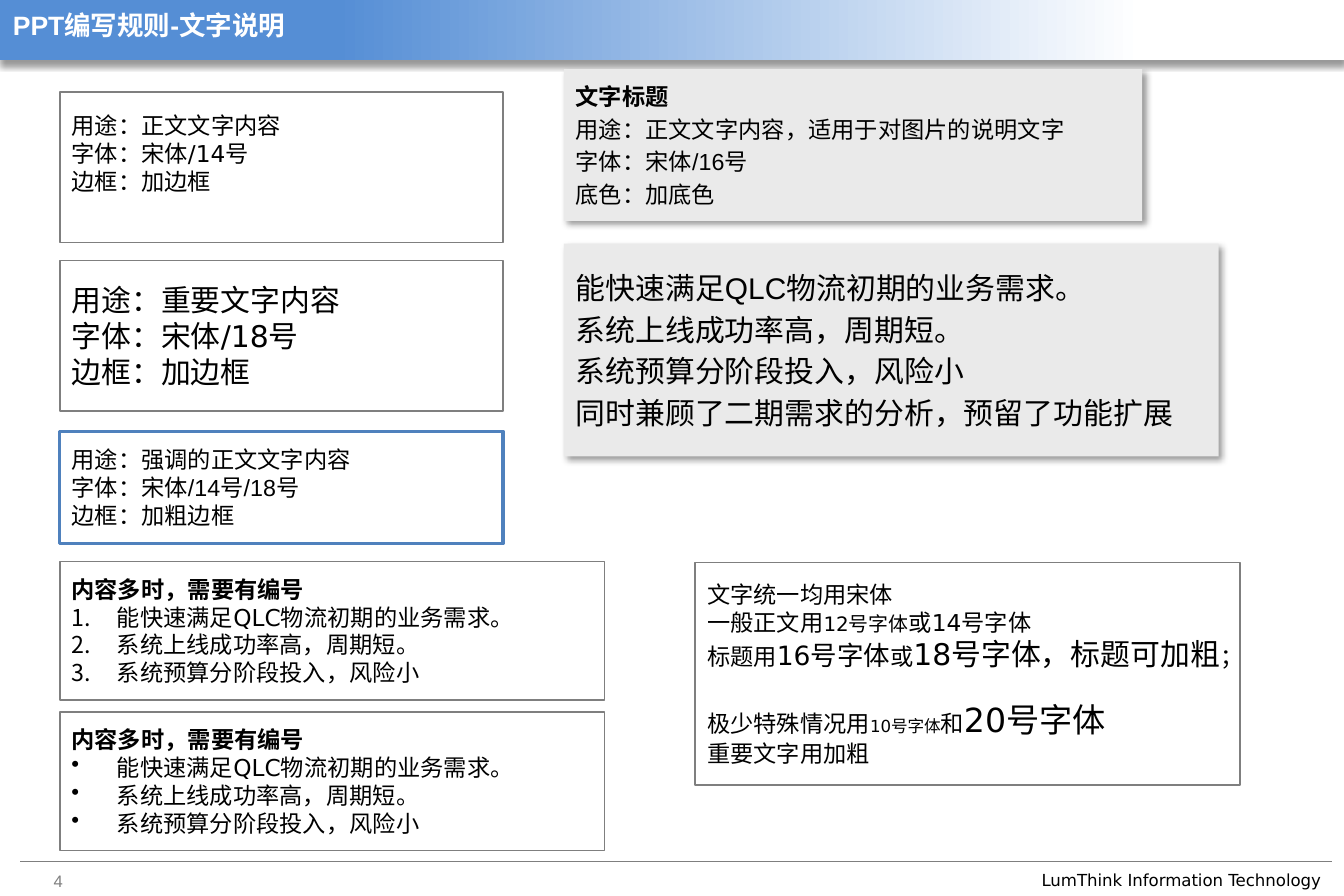
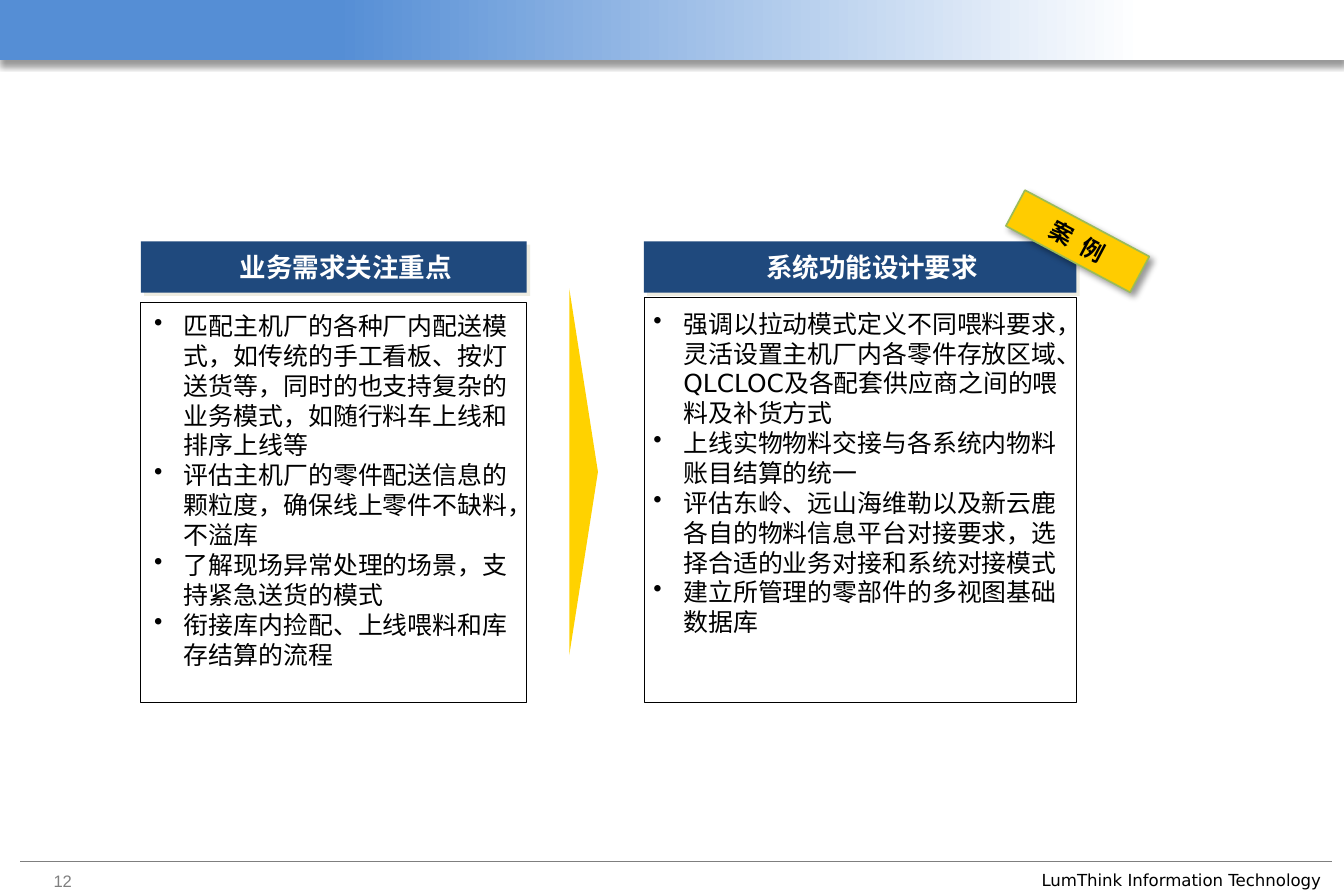
from lxml.etree import SubElement
from pptx import Presentation
from pptx.dml.color import RGBColor
from pptx.enum.shapes import MSO_CONNECTOR as Connector, MSO_SHAPE as Preset
from pptx.enum.text import MSO_ANCHOR as Anchor, PP_ALIGN as Align
from pptx.oxml.ns import qn
from pptx.util import Inches, Pt

# The slide is a grid of 90 columns by 60 rows of square cells
WIDTH, HEIGHT = Inches(11.25), Inches(7.5)
CELL = WIDTH / 90

COLORS = {
    "white": "FFFFFF", "black": "000000", "gray": "7F7F7F",
    "band": "558ED5", "panel": "EAEAEA", "accent": "4F81BD",
    "navy": "1F497D", "cream": "EEECE1", "arrow": "FFD200",
    "tag": "FFCC00", "tag_line": "9BBB59",
}
SANS, ARIAL = "DejaVu Sans", "Arial"
NUMBERS = ("a:buAutoNum", "type", "arabicPeriod")
DOTS = ("a:buChar", "char", "•")


def cells(*counts):
    return [round(count * CELL) for count in counts]


def color(name):
    return RGBColor.from_string(COLORS[name])


# Elements
def add_shadow(shape, name="black", alpha=40, blur=4, distance=3, angle=45):
    effects = shape._element.spPr.find(qn("a:effectLst"))
    shadow = SubElement(effects, qn("a:outerShdw"), blurRad=str(Pt(blur)),
                        dist=str(Pt(distance)), dir=str(angle * 60000),
                        algn="tl", rotWithShape="0")
    tint = SubElement(shadow, qn("a:srgbClr"), val=COLORS[name])
    SubElement(tint, qn("a:alpha"), val=str(alpha * 1000))


def add_box(slide, area, fill=None, line=None, weight=1, preset=Preset.RECTANGLE):
    shape = slide.shapes.add_shape(preset, *cells(*area))
    shape.shadow.inherit = False
    if fill:
        shape.fill.solid()
        shape.fill.fore_color.rgb = color(fill)
    else:
        shape.fill.background()
    if line:
        shape.line.color.rgb = color(line)
        shape.line.width = Pt(weight)
    else:
        shape.line.fill.background()
    return shape


def add_bullet(paragraph, bullet, indent):
    tag, key, value = bullet
    properties = paragraph._p.get_or_add_pPr()
    properties.set("marL", str(Inches(indent)))
    properties.set("indent", str(-Inches(indent)))
    SubElement(properties, qn(tag)).set(key, value)


def write(shape, paragraphs, size=14, font=SANS, ink="black", bold=False, heading=False,
          bullet=None, indent=0.38, gap=0, align=Align.LEFT, anchor=Anchor.MIDDLE,
          insets=(0.1, 0.05, 0.1, 0.05)):
    """Fill a shape; a paragraph is a string or a list of (text, size) runs."""
    frame = shape.text_frame
    frame.word_wrap = True
    frame.vertical_anchor = anchor
    (frame.margin_left, frame.margin_top,
     frame.margin_right, frame.margin_bottom) = map(Inches, insets)
    for index, content in enumerate(paragraphs):
        is_heading = heading and index == 0
        paragraph = frame.add_paragraph() if index else frame.paragraphs[0]
        if bullet and not is_heading:
            add_bullet(paragraph, bullet, indent)
        paragraph.alignment = align
        if gap and index:
            paragraph.space_before = Pt(gap)
        runs = [(content, size)] if isinstance(content, str) else content
        for text, run_size in runs:
            run = paragraph.add_run()
            run.text = text
            run.font.size = Pt(run_size)
            run.font.name = font
            run.font.bold = bold or is_heading
            run.font.color.rgb = color(ink)
    return frame


def add_label(slide, area, text, **style):
    box = slide.shapes.add_textbox(*cells(*area))
    return write(box, [text], anchor=Anchor.TOP, **style)


def add_panel(slide, area, lines, size):
    panel = add_box(slide, area, fill="panel")
    add_shadow(panel)
    write(panel, lines, size=size, font=ARIAL, gap=size * 0.2, heading=size == 14)


def add_topic(slide, left, width, body_top, title, points, insets):
    bar = add_box(slide, (left, 16.16, width, 3.44), fill="navy")
    add_shadow(bar, "cream", alpha=100, blur=0, distance=2.8)
    write(bar, [title], size=16, ink="white", bold=True, align=Align.CENTER,
          insets=(0.2, 0, 0, 0))
    body = add_box(slide, (left, body_top, width, 47.04 - body_top),
                   line="black", weight=0.5)
    write(body, points, size=15, bullet=DOTS, indent=0.25,
          anchor=Anchor.TOP, insets=insets)


# Shared band, rule and footer
def add_slide(presentation, number, title=None):
    slide = presentation.slides.add_slide(presentation.slide_layouts[6])
    slide.background.fill.solid()
    slide.background.fill.fore_color.rgb = color("white")

    left, right, level = cells(1.36, 89.2, 57.68)
    rule = slide.shapes.add_connector(Connector.STRAIGHT, left, level, right, level)
    rule.line.color.rgb = color("gray")
    rule.line.width = Pt(0.5)
    SubElement(rule._element.spPr, qn("a:effectLst"))

    band = add_box(slide, (0, 0, 90, 4))
    band.fill.gradient()
    band.fill.gradient_angle = 180
    for stop, position, name in zip(band.fill.gradient_stops, (0.15, 0.75),
                                    ("white", "band")):
        stop.position = position
        stop.color.rgb = color(name)
    add_shadow(band, angle=90)

    add_label(slide, (68.96, 57.84, 21.2, 2.16), "LumThink Information Technology", size=10)
    add_label(slide, (2.8, 57.92, 5.04, 2.4), str(number), size=10, font=ARIAL, ink="gray")
    if title:
        frame = add_label(slide, (0.08, 0.48, 84.64, 3.36), title, size=16,
                          font=ARIAL, ink="white", bold=True)
        frame.paragraphs[0].line_spacing = 0.9
    return slide


def build_text_rules(presentation):
    slide = add_slide(presentation, 4, "PPT编写规则-文字说明")
    points = ["能快速满足QLC物流初期的业务需求。", "系统上线成功率高，周期短。",
              "系统预算分阶段投入，风险小"]

    # Shaded panels
    add_panel(slide, (37.76, 4.64, 38.72, 10.16),
              ["文字标题", "用途：正文文字内容，适用于对图片的说明文字",
               "字体：宋体/16号", "底色：加底色"], 14)
    add_panel(slide, (37.76, 16.32, 43.84, 14.24),
              points + ["同时兼顾了二期需求的分析，预留了功能扩展"], 18)

    # Framed samples: top, height, line, weight, size, font, bottom inset, wording
    samples = [
        (6.16, 10.08, "gray", 1, 14, SANS, 0.28, ("正文文字内容", "14号", "加边框")),
        (17.44, 10.08, "gray", 1, 18, SANS, 0.05, ("重要文字内容", "18号", "加边框")),
        (28.88, 7.52, "accent", 2, 14, ARIAL, 0.05,
         ("强调的正文文字内容", "14号/18号", "加粗边框")),
    ]
    for top, height, line, weight, size, font, bottom, (usage, sizes, border) in samples:
        box = add_box(slide, (4, top, 29.68, height), "white", line, weight)
        write(box, [f"用途：{usage}", f"字体：宋体/{sizes}", f"边框：{border}"],
              size=size, font=font, insets=(0.1, 0.05, 0.1, bottom))

    # Numbered and bulleted lists
    for row, bullet in enumerate((NUMBERS, DOTS)):
        box = add_box(slide, (4, 37.6 + row * 10.08, 36.48, 9.28), "white", "gray")
        write(box, ["内容多时，需要有编号"] + points, heading=True, bullet=bullet)

    # Font size summary
    summary = add_box(slide, (46.56, 37.68, 36.48, 14.88), "white", "gray")
    frame = write(summary, [
        "文字统一均用宋体",
        [("一般正文用", 14), ("12号字体", 12), ("或14号字体", 14)],
        [("标题用", 14), ("16号字体", 16), ("或", 14),
         ("18号字体，标题可加粗", 18), ("；", 14)],
        [("极少特殊情况用", 14), ("10号字体", 10), ("和", 14), ("20号字体", 20)],
        "重要文字用加粗",
    ])
    frame.paragraphs[3].space_before = Pt(17)


def build_case(presentation):
    slide = add_slide(presentation, 12)

    # Needs, arrow, requirements
    add_topic(slide, 9.44, 25.84, 20.24, "业务需求关注重点", [
        "匹配主机厂的各种厂内配送模式，如传统的手工看板、按灯送货等，"
        "同时的也支持复杂的业务模式，如随行料车上线和排序上线等",
        "评估主机厂的零件配送信息的颗粒度，确保线上零件不缺料，不溢库",
        "了解现场异常处理的场景，支持紧急送货的模式",
        "衔接库内捡配、上线喂料和库存结算的流程",
    ], (0.11, 0.07, 0.16, 0))
    arrow = add_box(slide, (26.8, 30.64, 24.56, 1.92), "arrow",
                    preset=Preset.ISOSCELES_TRIANGLE)
    arrow.rotation = 90
    add_topic(slide, 43.12, 28.96, 19.92, "系统功能设计要求", [
        "强调以拉动模式定义不同喂料要求，灵活设置主机厂内各零件存放区域、"
        "QLCLOC及各配套供应商之间的喂料及补货方式",
        "上线实物物料交接与各系统内物料账目结算的统一",
        "评估东岭、远山海维勒以及新云鹿各自的物料信息平台对接要求，"
        "选择合适的业务对接和系统对接模式",
        "建立所管理的零部件的多视图基础数据库",
    ], (0.08, 0.09, 0.08, 0))

    # Tilted tag
    tag = add_box(slide, (67.44, 14.8, 9.44, 2.72), "tag", "tag_line")
    tag.rotation = 28.1
    add_shadow(tag)
    frame = write(tag, ["案 例"], bold=True, align=Align.CENTER)
    frame.paragraphs[0].runs[0]._r.get_or_add_rPr().set("spc", "200")


def main():
    presentation = Presentation()
    presentation.slide_width, presentation.slide_height = WIDTH, HEIGHT
    build_text_rules(presentation)
    build_case(presentation)
    presentation.save("out.pptx")


if __name__ == "__main__":
    main()
